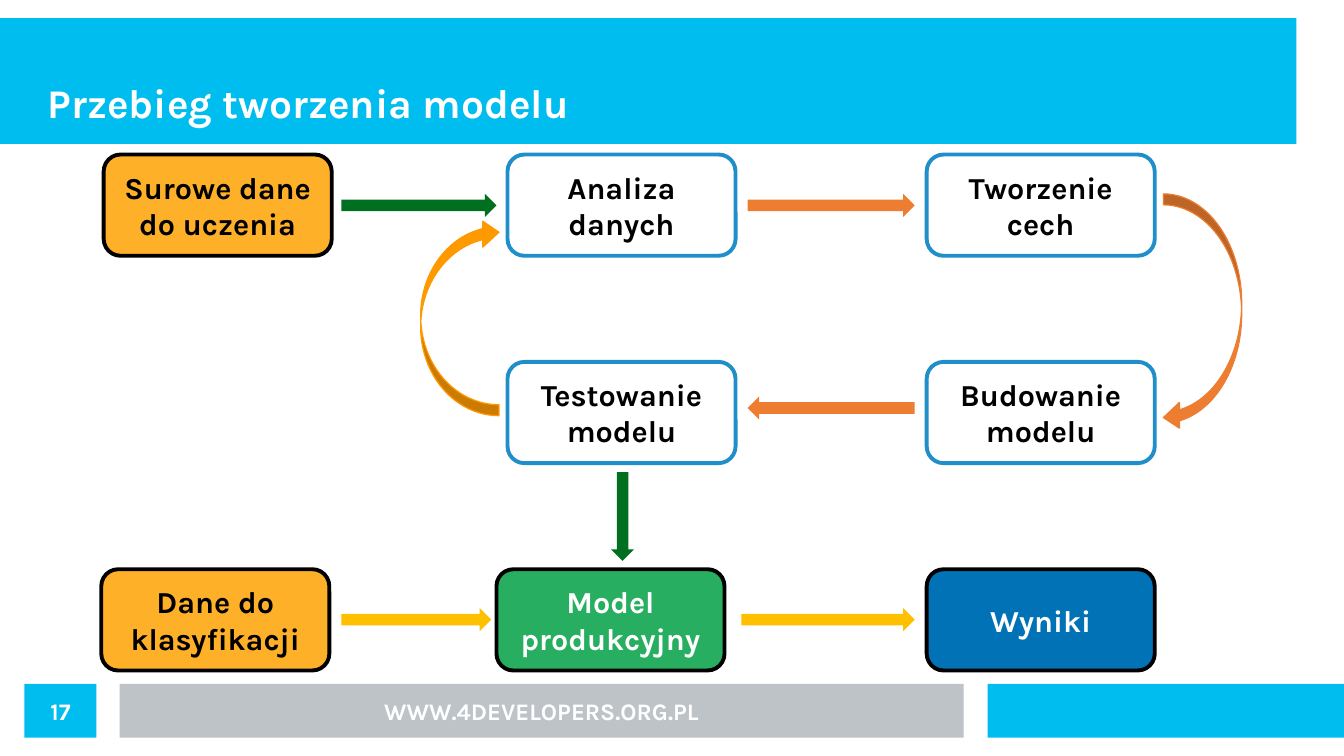
from pptx import Presentation
from pptx.dml.color import RGBColor
from pptx.enum.shapes import MSO_SHAPE
from pptx.enum.text import MSO_ANCHOR, PP_ALIGN
from pptx.util import Cm, Pt

COLORS = {
    "cyan": "00BDEF", "gray": "BDC3C7", "white": "FFFFFF", "black": "000000",
    "amber": "FFB029", "outline": "208EC9", "green": "27AE60", "blue": "0072B5",
    "forest": "007020", "orange": "ED7D31", "gold": "FFC000", "tangerine": "FF9900",
}


def add_shape(kind, box, fill=None, line=None, width=0.75, adj=(), rotation=0):
    sp = s.shapes.add_shape(kind, *[Cm(v) for v in box])
    sp.shadow.inherit = False
    sp.rotation = rotation
    for i, value in enumerate(adj):
        sp.adjustments[i] = value
    if fill:
        sp.fill.solid()
        sp.fill.fore_color.rgb = RGBColor.from_string(COLORS[fill])
    else:
        sp.fill.background()
    if line:
        sp.line.color.rgb = RGBColor.from_string(COLORS[line])
        sp.line.width = Pt(width)
    else:
        sp.line.fill.background()
    return sp


def write(sp, text, size, color="white", inset=0, align=PP_ALIGN.CENTER,
          anchor=MSO_ANCHOR.MIDDLE):
    tf = sp.text_frame
    tf.word_wrap = True
    tf.vertical_anchor = anchor
    tf.margin_left = tf.margin_right = tf.margin_top = tf.margin_bottom = Cm(inset)
    p = tf.paragraphs[0]
    p.alignment = align
    r = p.add_run()
    r.text = text
    r.font.name = "Karla"
    r.font.size = Pt(size)
    r.font.bold = True
    r.font.color.rgb = RGBColor.from_string(COLORS[color])


prs = Presentation()
prs.slide_width, prs.slide_height = Cm(27.99), Cm(15.75)
s = prs.slides.add_slide(prs.slide_layouts[6])

add_shape(MSO_SHAPE.RECTANGLE, (0, 0.38, 27, 2.62), "cyan")
title = s.shapes.add_textbox(Cm(0.99), Cm(0.76), Cm(26), Cm(1.88))
write(title, "Przebieg tworzenia modelu", 24, align=PP_ALIGN.LEFT,
      anchor=MSO_ANCHOR.BOTTOM)

footer_top, footer_height = 14.25, 1.12
for left, width, fill, text in [
    (20.57, 7.42, "cyan", None),
    (2.49, 17.58, "gray", "WWW.4DEVELOPERS.ORG.PL"),
    (0.51, 1.5, "cyan", "17"),
]:
    sp = add_shape(MSO_SHAPE.RECTANGLE, (left, footer_top, width, footer_height), fill)
    if text:
        write(sp, text, 14)

rows = [3.22 + 4.32 * i for i in range(3)]
middle, right = 10.57, 19.3
for left, row, text, fill, line, color in [
    (2.16, 0, "Surowe dane do uczenia", "amber", "black", "black"),
    (middle, 0, "Analiza danych", None, "outline", "black"),
    (right, 0, "Tworzenie cech", None, "outline", "black"),
    (right, 1, "Budowanie modelu", None, "outline", "black"),
    (middle, 1, "Testowanie modelu", None, "outline", "black"),
    (2.11, 2, "Dane do klasyfikacji", "amber", "black", "black"),
    (10.34, 2, "Model produkcyjny", "green", "black", "white"),
    (right, 2, "Wyniki", "blue", "black", "white"),
]:
    sp = add_shape(MSO_SHAPE.ROUNDED_RECTANGLE, (left, rows[row], 4.75, 2.11),
                   fill, line, 2.3, [0.167])
    write(sp, text, 18, color, 0.25)

for left, top, length, fill, rotation in [
    (7.11, 4.04, 3.23, "forest", 0),
    (15.57, 4.04, 3.48, "orange", 0),
    (15.57, 8.26, 3.48, "orange", 180),
    (12.04, 10.52, 1.85, "forest", 90),
    (7.11, 12.67, 3.12, "gold", 0),
    (15.44, 12.67, 3.61, "gold", 0),
]:
    add_shape(MSO_SHAPE.RIGHT_ARROW, (left, top, length, 0.48), fill, rotation=rotation)

for left, top, height, fill, rotation in [
    (24.23, 4.04, 4.93, "orange", 0),
    (8.76, 4.57, 4.09, "tangerine", 180),
]:
    add_shape(MSO_SHAPE.CURVED_LEFT_ARROW, (left, top, 1.63, height), fill, fill,
              adj=(0.14, 0.329, 0.205), rotation=rotation)

prs.save("out.pptx")
